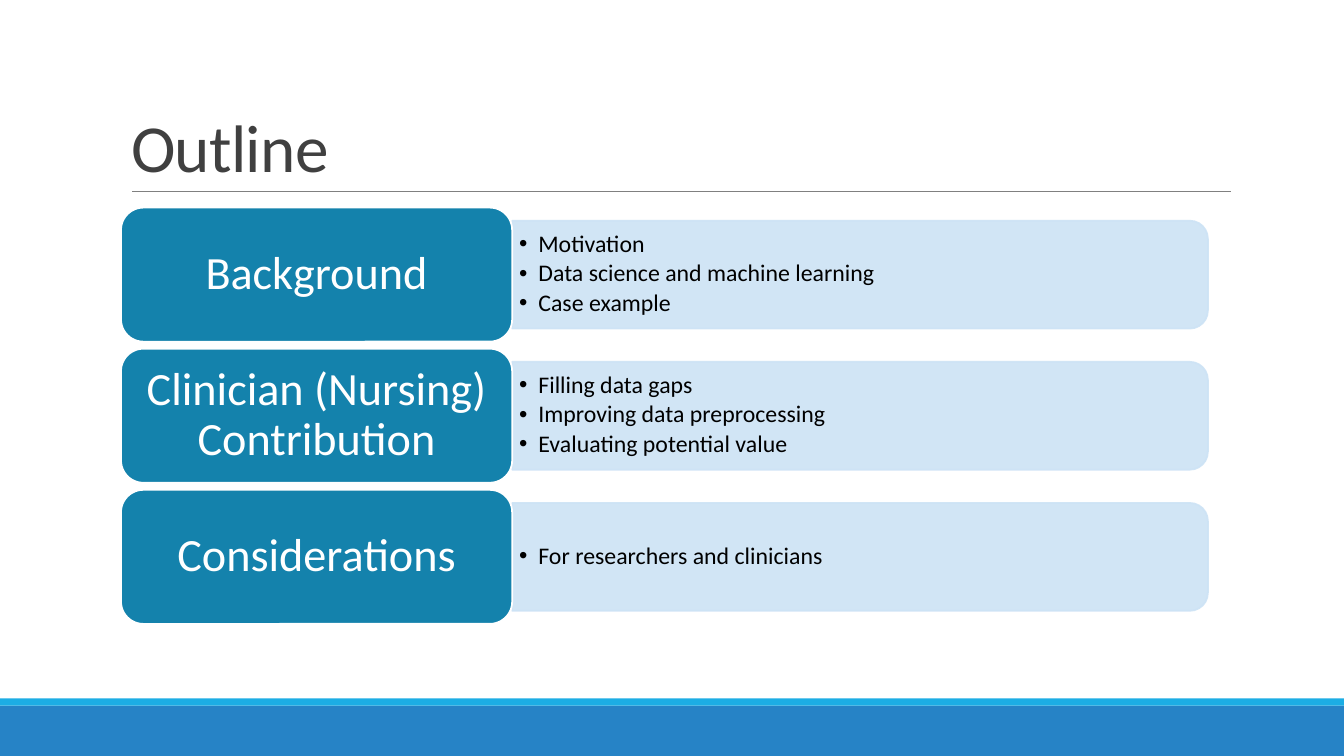
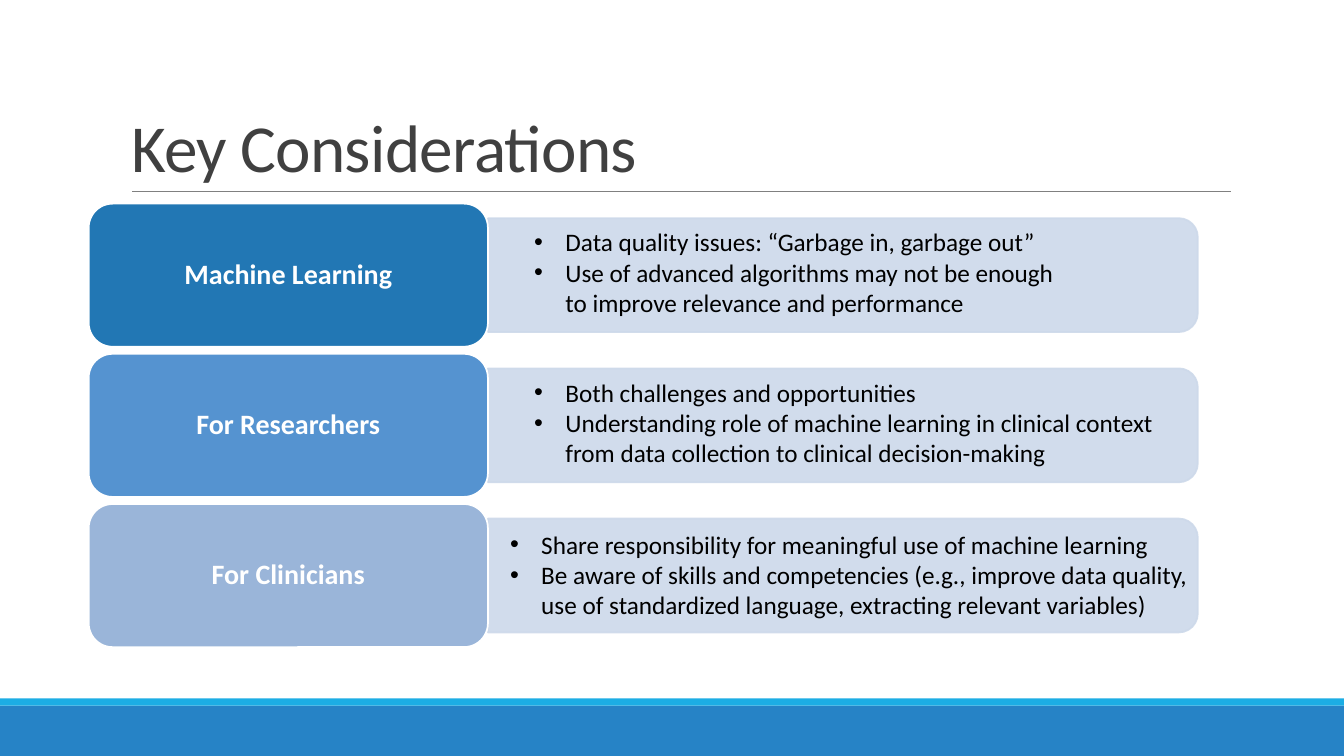
import pptx
import pptx.util
import pptx.dml.color
import pptx.enum.shapes
import pptx.enum.text
import pptx.oxml
import lxml.etree

WIDTH, HEIGHT = 13.33, 7.5
FONT = "Calibri"
COLORS = {"title": "404040", "rule": "808080", "footer": "2683C6",
          "stripe": "1CADE4", "white": "FFFFFF", "black": "000000"}

SLIDES = [
    {
        "title": "Outline",
        "grid": {"left": 1.2, "top": 2.06, "pitch": 1.4},
        "label": {"width": 3.88, "height": 1.33, "size": 33, "bold": False, "inset": (0.14, 0.07)},
        "panel": {"width": 6.9, "height": 1.07, "color": "CDE3F5"},
        "bullets": {"size": 17, "indent": 0.19, "spacing": 0.9, "after": 2.5,
                    "inset": (0.07, 0.04), "anchor": "MIDDLE"},
        "rows": [
            ("Background", "1482AC", (5.08, 2.24, 6.84, 0.96),
             ["Motivation", "Data science and machine learning", "Case example"]),
            ("Clinician (Nursing) Contribution", "1482AC", (5.08, 3.64, 6.84, 0.96),
             ["Filling data gaps", "Improving data preprocessing", "Evaluating potential value"]),
            ("Considerations", "1482AC", (5.08, 5.04, 6.84, 0.96),
             ["For researchers and clinicians"]),
        ],
    },
    {
        "title": "Key Considerations",
        "grid": {"left": 0.88, "top": 2.02, "pitch": 1.49},
        "label": {"width": 3.96, "height": 1.42, "size": 20, "bold": True, "inset": (0.08, 0.04)},
        "panel": {"width": 7.04, "height": 1.13, "color": "CDD9EA"},
        "bullets": {"size": 18, "indent": 0.31, "spacing": 1.0, "after": 0,
                    "inset": (0.1, 0.05), "anchor": "TOP"},
        "rows": [
            ("Machine Learning", "2277B4", (5.2, 2.2, 5.52, 1.31),
             ["Data quality issues: “Garbage in, garbage out”",
              "Use of advanced algorithms may not be enough to improve relevance and performance"]),
            ("For Researchers", "5593D0", (5.2, 3.69, 6.53, 1.31),
             ["Both challenges and opportunities",
              "Understanding role of machine learning in clinical context from data collection "
              "to clinical decision-making"]),
            ("For Clinicians", "9AB5D9", (4.96, 5.2, 7.01, 1.31),
             ["Share responsibility for meaningful use of machine learning",
              "Be aware of skills and competencies (e.g., improve data quality, use of "
              "standardized language, extracting relevant variables)"]),
        ],
    },
]

qn = pptx.oxml.ns.qn
Inches = pptx.util.Inches


def color(code):
    return pptx.dml.color.RGBColor.from_string(code)


def add_box(page, kind, bounds, fill, line=None):
    preset = getattr(pptx.enum.shapes.MSO_SHAPE, kind)
    box = page.shapes.add_shape(preset, *map(Inches, bounds))
    box.shadow.inherit = False
    box.fill.solid()
    box.fill.fore_color.rgb = color(fill)
    if line:
        box.line.color.rgb = color(line)
        box.line.width = pptx.util.Pt(1.25)
    else:
        box.line.fill.background()
    return box


def set_frame(frame, anchor, inset_x, inset_y):
    frame.word_wrap = True
    frame.auto_size = pptx.enum.text.MSO_AUTO_SIZE.NONE
    frame.vertical_anchor = getattr(pptx.enum.text.MSO_ANCHOR, anchor)
    frame.margin_left = frame.margin_right = Inches(inset_x)
    frame.margin_top = frame.margin_bottom = Inches(inset_y)


def set_para(para, text, size, fill, align, spacing, bold=False):
    para.text = text
    para.alignment = getattr(pptx.enum.text.PP_ALIGN, align)
    para.line_spacing = spacing
    para.font.name = FONT
    para.font.size = pptx.util.Pt(size)
    para.font.bold = bold
    para.font.color.rgb = color(fill)


def add_bullet(para, indent):
    properties = para._p.get_or_add_pPr()
    properties.set("marL", str(Inches(indent)))
    properties.set("indent", str(-Inches(indent)))
    mark_font = lxml.etree.Element(qn("a:buFont"), typeface="Arial")
    mark = lxml.etree.Element(qn("a:buChar"), char="•")
    place = properties.find(qn("a:defRPr"))
    place.addprevious(mark_font)
    place.addprevious(mark)


def set_transparent(shape, opacity):
    for code in shape.element.spPr.iter(qn("a:srgbClr")):
        lxml.etree.SubElement(code, qn("a:alpha"), val=str(opacity * 1000))


def decorate_layout(layout, page):
    for holder in list(layout.placeholders)[1:]:
        holder.element.getparent().remove(holder.element)
    footer = add_box(page, "RECTANGLE", (0, 7, WIDTH, 0.5), COLORS["footer"])
    stripe = add_box(page, "RECTANGLE", (0, 6.93, WIDTH, 0.07), COLORS["stripe"])
    rule = page.shapes.add_connector(
        pptx.enum.shapes.MSO_CONNECTOR.STRAIGHT, *map(Inches, (1.31, 1.9, 12.21, 1.9)))
    rule.line.color.rgb = color(COLORS["rule"])
    rule.line.width = pptx.util.Pt(0.5)
    lxml.etree.SubElement(rule.element.spPr, qn("a:effectLst"))
    for part in (footer, stripe, rule):
        layout.shapes.element.append(part.element)


def set_title(page, text):
    title = page.shapes.title
    title.left, title.top, title.width, title.height = map(Inches, (1.2, 0.31, 11, 1.59))
    set_frame(title.text_frame, "BOTTOM", 0.1, 0.05)
    para = title.text_frame.paragraphs[0]
    set_para(para, text, 48, COLORS["title"], "LEFT", 0.85)
    para.runs[0].font._element.set("spc", "-50")


def add_panel(page, left, middle, style):
    width, height = style["width"], style["height"]
    bounds = (left + (width - height) / 2, middle - width / 2, height, width)
    panel = add_box(page, "ROUND_2_SAME_RECTANGLE", bounds, style["color"], style["color"])
    panel.rotation = 90
    set_transparent(panel, 90)


def add_label(page, left, top, text, fill, style):
    bounds = (left, top, style["width"], style["height"])
    label = add_box(page, "ROUNDED_RECTANGLE", bounds, fill, COLORS["white"])
    set_frame(label.text_frame, "MIDDLE", *style["inset"])
    set_para(label.text_frame.paragraphs[0], text, style["size"], COLORS["white"],
             "CENTER", 0.9, style["bold"])


def add_bullets(page, bounds, items, style):
    frame = page.shapes.add_textbox(*map(Inches, bounds)).text_frame
    set_frame(frame, style["anchor"], *style["inset"])
    for index, item in enumerate(items):
        para = frame.add_paragraph() if index else frame.paragraphs[0]
        set_para(para, item, style["size"], COLORS["black"], "LEFT", style["spacing"])
        para.space_after = pptx.util.Pt(style["after"])
        add_bullet(para, style["indent"])


def build_slide(page, content):
    grid, label = content["grid"], content["label"]
    set_title(page, content["title"])
    for index, (name, fill, bounds, items) in enumerate(content["rows"]):
        top = grid["top"] + index * grid["pitch"]
        add_panel(page, grid["left"] + label["width"], top + label["height"] / 2, content["panel"])
        add_label(page, grid["left"], top, name, fill, label)
        add_bullets(page, bounds, items, content["bullets"])


deck = pptx.Presentation()
deck.slide_width, deck.slide_height = Inches(WIDTH), Inches(HEIGHT)
title_only = deck.slide_layouts[5]
pages = [deck.slides.add_slide(title_only) for content in SLIDES]
decorate_layout(title_only, pages[0])
for page, content in zip(pages, SLIDES):
    build_slide(page, content)
deck.save("out.pptx")
